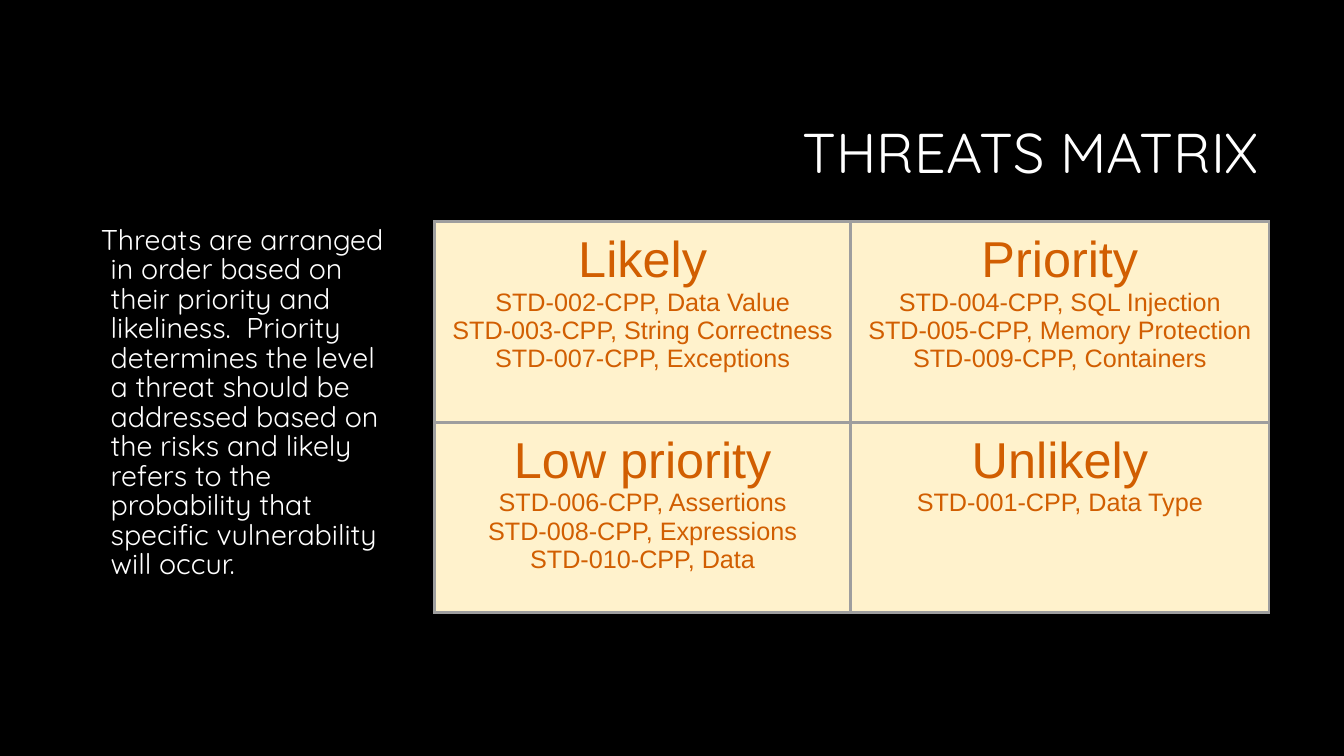
import pptx
import pptx.util
import pptx.dml.color
import pptx.enum.text
import pptx.oxml
import pptx.oxml.ns

Cm = pptx.util.Cm
Pt = pptx.util.Pt
ALIGN = pptx.enum.text.PP_ALIGN
ANCHOR = pptx.enum.text.MSO_ANCHOR

COLORS = {
    "back": "000000",
    "text": "FFFFFF",
    "cell": "FFF2CC",
    "label": "D15E01",
    "edge": "9E9E9E",
}

FONTS = {
    "title": {"name": "Quicksand", "size": Pt(40), "bold": False},
    "body": {"name": "Quicksand", "size": Pt(20.4)},
    "head": {"name": "Arial", "size": Pt(36)},
    "item": {"name": "Arial", "size": Pt(18)},
}

NOTE = (
    "Threats are arranged in order based on their priority and likeliness.  "
    "Priority determines the level a threat should be addressed based on the "
    "risks and likely refers to the probability that specific vulnerability "
    "will occur."
)

MATRIX = [
    [
        ("Likely", ["STD-002-CPP, Data Value",
                    "STD-003-CPP, String Correctness",
                    "STD-007-CPP, Exceptions"]),
        ("Priority", ["STD-004-CPP, SQL Injection",
                      "STD-005-CPP, Memory Protection",
                      "STD-009-CPP, Containers"]),
    ],
    [
        ("Low priority", ["STD-006-CPP, Assertions",
                          "STD-008-CPP, Expressions",
                          "STD-010-CPP, Data"]),
        ("Unlikely", ["STD-001-CPP, Data Type"]),
    ],
]


def tint(key):
    return pptx.dml.color.RGBColor.from_string(COLORS[key])


def apply(item, values):
    for name, value in values.items():
        setattr(item, name, value)


def write(para, text, font, color, **layout):
    run = para.add_run()
    run.text = text
    apply(run.font, FONTS[font])
    run.font.color.rgb = tint(color)
    apply(para, layout)


def add_title(slide):
    title = slide.shapes.title
    apply(title, {"left": Cm(8.05), "top": Cm(2.13),
                  "width": Cm(23.93), "height": Cm(3.58)})
    frame = title.text_frame
    apply(frame, {"vertical_anchor": ANCHOR.MIDDLE, "word_wrap": True})
    write(frame.paragraphs[0], "THREATS MATRIX", "title", "text",
          alignment=ALIGN.RIGHT, line_spacing=0.9)


def add_note(slide):
    box = slide.shapes.add_textbox(Cm(1.9), Cm(5.59), Cm(8.23), Cm(11.68))
    frame = box.text_frame
    frame.word_wrap = True
    para = frame.paragraphs[0]
    write(para, NOTE, "body", "text", line_spacing=0.86)
    props = para._p.get_or_add_pPr()
    props.set("marL", str(Cm(0.64)))
    props.set("indent", str(-Cm(0.25)))


def add_edges(cell):
    props = cell._tc.get_or_add_tcPr()
    for spot, side in enumerate("LRTB"):
        line = pptx.oxml.parse_xml(
            f'<a:ln{side} {pptx.oxml.ns.nsdecls("a")} w="{Pt(2.25)}">'
            f'<a:solidFill><a:srgbClr val="{COLORS["edge"]}"/></a:solidFill>'
            f'</a:ln{side}>'
        )
        props.insert(spot, line)


def fill_cell(cell, head, items):
    cell.fill.solid()
    cell.fill.fore_color.rgb = tint("cell")
    sides = ("left", "right", "top", "bottom")
    apply(cell, {f"margin_{side}": Cm(0.25) for side in sides})
    add_edges(cell)
    frame = cell.text_frame
    write(frame.paragraphs[0], head, "head", "label", alignment=ALIGN.CENTER)
    for item in items:
        write(frame.add_paragraph(), item, "item", "label",
              alignment=ALIGN.CENTER)


def add_matrix(slide):
    widths = [Cm(10.49), Cm(10.54)]
    heights = [Cm(5.06), Cm(4.78)]
    table = slide.shapes.add_table(
        len(heights), len(widths), Cm(10.95), Cm(5.59),
        sum(widths), sum(heights)).table
    apply(table, {"first_row": False, "horz_banding": False})
    for col, width in zip(table.columns, widths):
        col.width = width
    for row, height, cells in zip(table.rows, heights, MATRIX):
        row.height = height
        for cell, (head, items) in zip(row.cells, cells):
            fill_cell(cell, head, items)


def main():
    deck = pptx.Presentation()
    apply(deck, {"slide_width": Cm(33.87), "slide_height": Cm(19.05)})
    slide = deck.slides.add_slide(deck.slide_layouts[5])
    slide.background.fill.solid()
    slide.background.fill.fore_color.rgb = tint("back")
    add_title(slide)
    add_note(slide)
    add_matrix(slide)
    deck.save("out.pptx")


if __name__ == "__main__":
    main()
